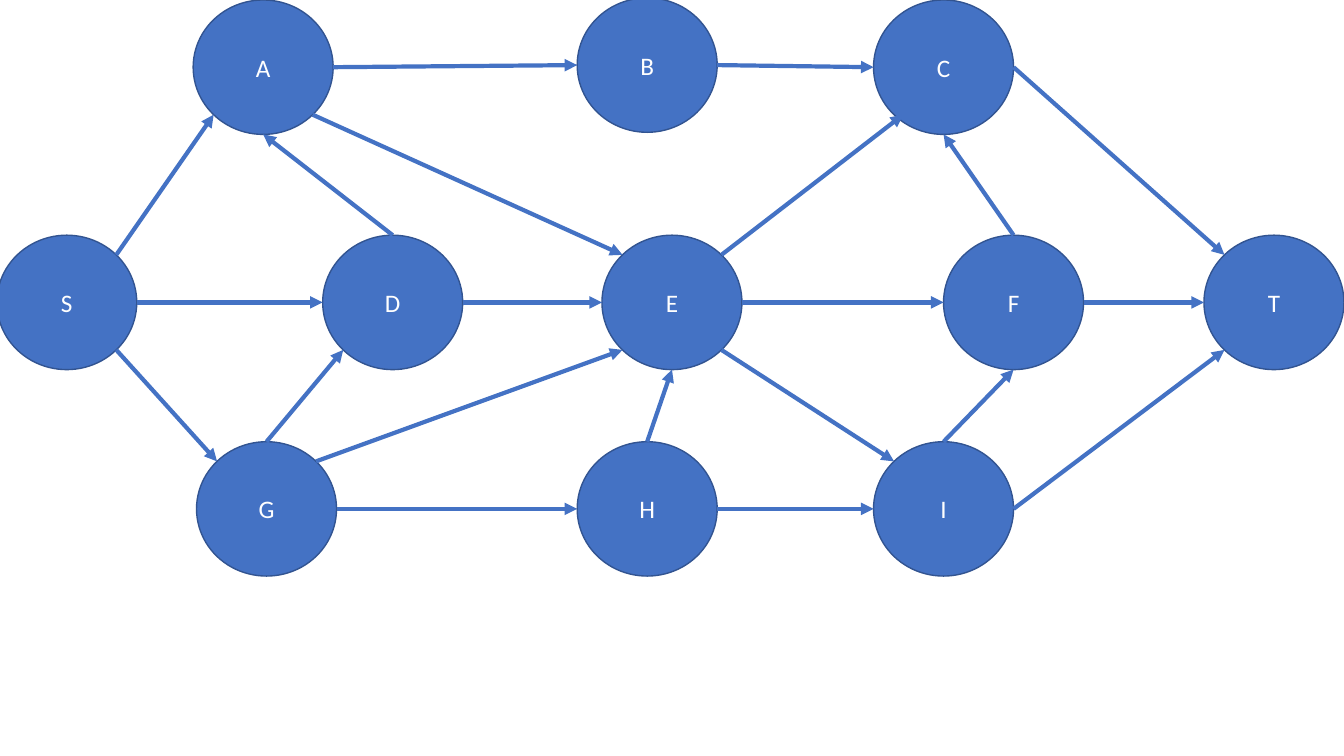
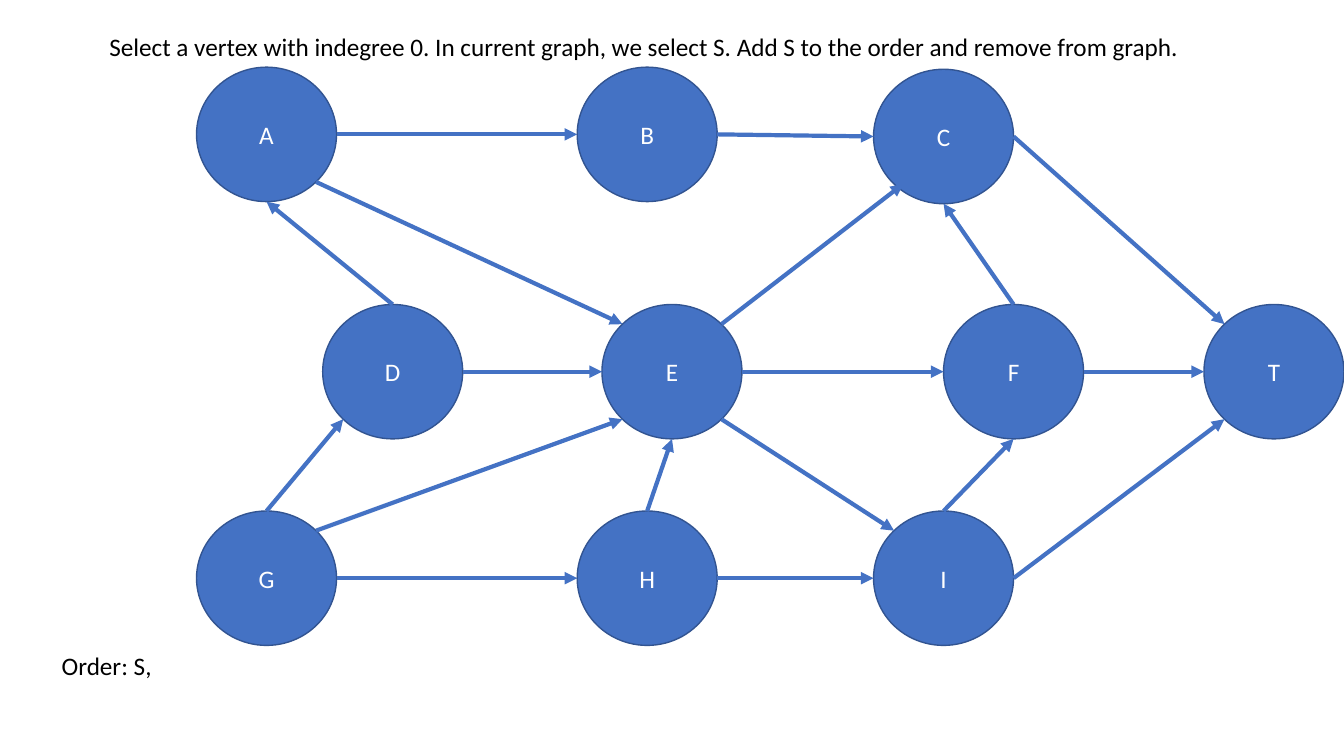
import dataclasses
import enum
import math

import lxml.etree
import pptx
import pptx.dml.color
import pptx.enum.shapes
import pptx.enum.text
import pptx.oxml.ns
import pptx.presentation
import pptx.shapes.autoshape
import pptx.shapes.connector
import pptx.slide
import pptx.util

Pt = pptx.util.Pt
qn = pptx.oxml.ns.qn

COLORS = {
    "vertex": "4472C4",
    "outline": "325491",
    "edge": "4472C4",
    "label": "FFFFFF",
    "text": "000000",
}
FONT = "Calibri"
FONT_SIZE = 18
WIDTH, HEIGHT = 100, 96
LOWERED = 49.5


class Site(enum.IntEnum):
    """Connection sites of an ellipse, counter-clockwise from the top."""

    TOP = 0
    TOP_LEFT = 1
    LEFT = 2
    BOTTOM_LEFT = 3
    BOTTOM = 4
    BOTTOM_RIGHT = 5
    RIGHT = 6
    TOP_RIGHT = 7


@dataclasses.dataclass(frozen=True)
class Vertex:
    name: str
    left: float
    top: float

    def site_point(self, site: Site) -> tuple[float, float]:
        angle = site * math.pi / 4
        x = self.left + WIDTH / 2 * (1 - math.sin(angle))
        y = self.top + HEIGHT / 2 * (1 - math.cos(angle))
        return x, y


@dataclasses.dataclass(frozen=True)
class Edge:
    """A directed edge; a nudge shifts its free end to the right of the site."""

    source: str
    leave: Site
    target: str
    arrive: Site
    nudge: float = 0


@dataclasses.dataclass(frozen=True)
class Caption:
    text: str
    left: float
    top: float
    width: float


TOP_ROW, MIDDLE_ROW, BOTTOM_ROW = 0, 168, 315.5

VERTICES = [
    Vertex("S", -2.3, MIDDLE_ROW),
    Vertex("A", 138, TOP_ROW),
    Vertex("G", 140.4, BOTTOM_ROW),
    Vertex("D", 230.5, MIDDLE_ROW),
    Vertex("E", 430, MIDDLE_ROW),
    Vertex("F", 674, MIDDLE_ROW),
    Vertex("T", 860, MIDDLE_ROW),
    Vertex("B", 412.3, TOP_ROW - 1.5),
    Vertex("H", 412.3, BOTTOM_ROW),
    Vertex("C", 624, TOP_ROW),
    Vertex("I", 624, BOTTOM_ROW),
]

EDGES = [
    Edge("S", Site.TOP_RIGHT, "A", Site.BOTTOM_LEFT),
    Edge("S", Site.RIGHT, "D", Site.LEFT),
    Edge("S", Site.BOTTOM_RIGHT, "G", Site.TOP_LEFT),
    Edge("A", Site.RIGHT, "B", Site.LEFT),
    Edge("B", Site.RIGHT, "C", Site.LEFT),
    Edge("G", Site.RIGHT, "H", Site.LEFT),
    Edge("H", Site.RIGHT, "I", Site.LEFT),
    Edge("C", Site.RIGHT, "T", Site.TOP_LEFT),
    Edge("I", Site.RIGHT, "T", Site.BOTTOM_LEFT),
    Edge("D", Site.RIGHT, "E", Site.LEFT),
    Edge("E", Site.RIGHT, "F", Site.LEFT),
    Edge("F", Site.RIGHT, "T", Site.LEFT),
    Edge("G", Site.TOP, "D", Site.BOTTOM_LEFT),
    Edge("G", Site.TOP_RIGHT, "E", Site.BOTTOM_LEFT),
    Edge("H", Site.TOP, "E", Site.BOTTOM),
    Edge("I", Site.TOP, "F", Site.BOTTOM),
    Edge("D", Site.TOP, "A", Site.BOTTOM),
    Edge("E", Site.TOP_RIGHT, "C", Site.BOTTOM_LEFT, nudge=6.5),
    Edge("E", Site.BOTTOM_RIGHT, "I", Site.TOP_LEFT),
    Edge("A", Site.BOTTOM_RIGHT, "E", Site.TOP_LEFT),
    Edge("F", Site.TOP, "C", Site.BOTTOM),
]

CAPTIONS = [
    Caption(
        "Select a vertex with indegree 0. In current graph, we select S. "
        "Add S to the order and remove from graph.",
        71, 19, 791,
    ),
    Caption("Order: S,", 37, 461, 889),
]


def rgb(name: str) -> pptx.dml.color.RGBColor:
    return pptx.dml.color.RGBColor.from_string(COLORS[name])


def write_text(box: pptx.shapes.autoshape.Shape, text: str, color: str) -> None:
    box.text_frame.word_wrap = True
    span = box.text_frame.paragraphs[0].add_run()
    span.text = text
    span.font.name = FONT
    span.font.size = Pt(FONT_SIZE)
    span.font.color.rgb = rgb(color)


def draw_vertex(slide: pptx.slide.Slide, vertex: Vertex) -> pptx.shapes.autoshape.Shape:
    circle = slide.shapes.add_shape(
        pptx.enum.shapes.MSO_SHAPE.OVAL,
        Pt(vertex.left), Pt(vertex.top), Pt(WIDTH), Pt(HEIGHT),
    )
    circle.shadow.inherit = False
    circle.fill.solid()
    circle.fill.fore_color.rgb = rgb("vertex")
    circle.line.color.rgb = rgb("outline")
    circle.line.width = Pt(1)
    write_text(circle, vertex.name, "label")
    circle.text_frame.vertical_anchor = pptx.enum.text.MSO_ANCHOR.MIDDLE
    circle.text_frame.paragraphs[0].alignment = pptx.enum.text.PP_ALIGN.CENTER
    return circle


def join(
    arrow: pptx.shapes.connector.Connector,
    end: str,
    circle: pptx.shapes.autoshape.Shape,
    site: Site,
) -> None:
    """Glue one end to an ellipse site, as begin_connect knows only four sites."""
    properties = next(arrow.element.iter(qn("p:cNvCxnSpPr")))
    lxml.etree.SubElement(
        properties, qn(end), id=str(circle.shape_id), idx=str(int(site))
    )


def draw_edge(
    slide: pptx.slide.Slide,
    edge: Edge,
    vertices: dict[str, Vertex],
    circles: dict[str, pptx.shapes.autoshape.Shape],
) -> None:
    start_x, start_y = vertices[edge.source].site_point(edge.leave)
    end_x, end_y = vertices[edge.target].site_point(edge.arrive)
    arrow = slide.shapes.add_connector(
        pptx.enum.shapes.MSO_CONNECTOR.STRAIGHT,
        Pt(start_x), Pt(start_y), Pt(end_x + edge.nudge), Pt(end_y),
    )
    arrow.line.color.rgb = rgb("edge")
    arrow.line.width = Pt(3)
    properties = arrow.element.spPr
    lxml.etree.SubElement(properties.find(qn("a:ln")), qn("a:tailEnd"), type="triangle")
    lxml.etree.SubElement(properties, qn("a:effectLst"))
    join(arrow, "a:stCxn", circles[edge.source], edge.leave)
    if not edge.nudge:
        join(arrow, "a:endCxn", circles[edge.target], edge.arrive)


def draw_graph(slide: pptx.slide.Slide, vertices: list[Vertex]) -> None:
    """Draw the vertices and every edge that runs between two of them."""
    by_name = {vertex.name: vertex for vertex in vertices}
    circles = {vertex.name: draw_vertex(slide, vertex) for vertex in vertices}
    for edge in EDGES:
        if edge.source in by_name and edge.target in by_name:
            draw_edge(slide, edge, by_name, circles)


def draw_caption(slide: pptx.slide.Slide, caption: Caption) -> None:
    box = slide.shapes.add_textbox(
        Pt(caption.left), Pt(caption.top), Pt(caption.width), Pt(29)
    )
    write_text(box, caption.text, "text")
    box.text_frame.auto_size = pptx.enum.text.MSO_AUTO_SIZE.SHAPE_TO_FIT_TEXT


def add_blank_slide(deck: pptx.presentation.Presentation) -> pptx.slide.Slide:
    return deck.slides.add_slide(deck.slide_layouts[6])


def remaining_vertices() -> list[Vertex]:
    """The graph without S, lowered to make room, with A moved above G."""
    lefts = {vertex.name: vertex.left for vertex in VERTICES}
    lowered = [
        dataclasses.replace(vertex, top=vertex.top + LOWERED)
        for vertex in VERTICES
        if vertex.name != "S"
    ]
    return [
        dataclasses.replace(vertex, left=lefts["G"], top=vertex.top - 1.5)
        if vertex.name == "A"
        else vertex
        for vertex in lowered
    ]


def main() -> None:
    deck = pptx.Presentation()
    deck.slide_width, deck.slide_height = Pt(960), Pt(540)

    draw_graph(add_blank_slide(deck), VERTICES)

    selection = add_blank_slide(deck)
    draw_graph(selection, remaining_vertices())
    for caption in CAPTIONS:
        draw_caption(selection, caption)

    deck.save("out.pptx")


if __name__ == "__main__":
    main()
